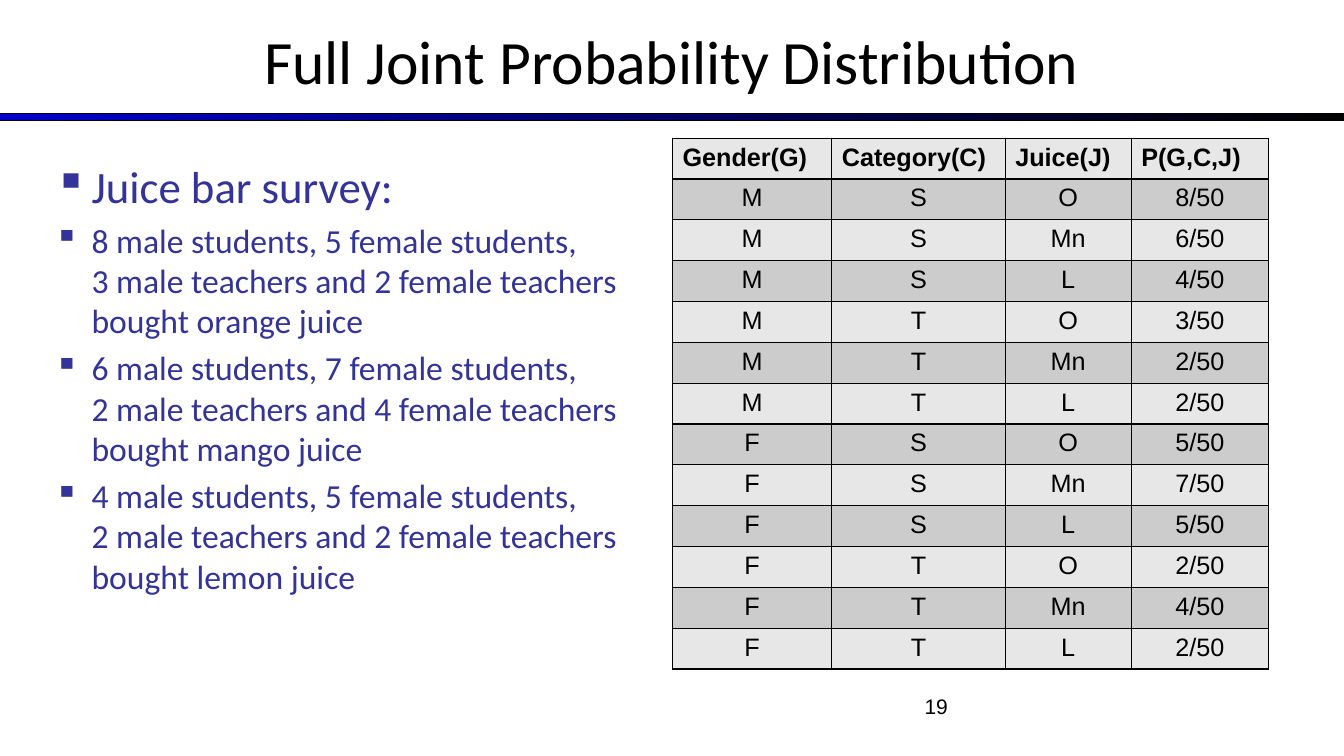
from typing import NamedTuple

from lxml import etree
from pptx import Presentation
from pptx.dml.color import RGBColor
from pptx.enum.shapes import MSO_SHAPE
from pptx.enum.text import MSO_ANCHOR, PP_ALIGN
from pptx.oxml.ns import qn
from pptx.util import Inches, Pt

RECTANGLE = MSO_SHAPE.RECTANGLE
LEFT, CENTER, RIGHT = PP_ALIGN.LEFT, PP_ALIGN.CENTER, PP_ALIGN.RIGHT
TOP, MIDDLE = MSO_ANCHOR.TOP, MSO_ANCHOR.MIDDLE

BLACK = RGBColor(0x00, 0x00, 0x00)
BLUE = RGBColor(0x00, 0x00, 0xCC)
INDIGO = RGBColor(0x33, 0x33, 0x99)
LIGHT_GREY = RGBColor(0xE7, 0xE7, 0xE7)
MID_GREY = RGBColor(0xCC, 0xCC, 0xCC)

TITLE_FORMAT = {"name": "Calibri", "size": Pt(44)}
HEADING_FORMAT = {"name": "Calibri", "size": Pt(32)}
SALES_FORMAT = {"name": "Calibri", "size": Pt(24)}
HEADER_FORMAT = {"name": "Arial", "size": Pt(18), "bold": True}
CELL_FORMAT = {"name": "Arial", "size": Pt(18), "bold": False}
NUMBER_FORMAT = {"name": "Arial", "size": Pt(15)}


class Box(NamedTuple):
    left: float
    top: float
    width: float
    height: float

    def lengths(self) -> list:
        return [Inches(value) for value in self]


class Sale(NamedTuple):
    juice: str
    code: str
    male_students: int
    female_students: int
    male_teachers: int
    female_teachers: int

    def sentence(self) -> str:
        return (f"{self.male_students} male students, {self.female_students} female students,\v"
                f"{self.male_teachers} male teachers and {self.female_teachers} female teachers "
                f"bought {self.juice} juice")


SALES = [
    Sale("orange", "O", 8, 5, 3, 2),
    Sale("mango", "Mn", 6, 7, 2, 4),
    Sale("lemon", "L", 4, 5, 2, 2),
]
GROUPS = [("M", "S", "male_students"), ("M", "T", "male_teachers"),
          ("F", "S", "female_students"), ("F", "T", "female_teachers")]
HEADERS = ("Gender(G)", "Category(C)", "Juice(J)", "P(G,C,J)")
COLUMN_WIDTHS = (1.58, 1.72, 1.25, 1.36)
TABLE_BOX = Box(6.67, 1.37, sum(COLUMN_WIDTHS), 5.27)
BULLET_INDENT = Inches(0.37)


def write(paragraph, text: str, font_format: dict, color: RGBColor, align=LEFT) -> None:
    paragraph.text = text
    paragraph.alignment = align
    for run in paragraph.runs:
        for attribute, value in font_format.items():
            setattr(run.font, attribute, value)
        run.font.color.rgb = color


def add_frame(slide, box: Box, anchor=TOP):
    frame = slide.shapes.add_textbox(*box.lengths()).text_frame
    frame.word_wrap = True
    frame.vertical_anchor = anchor
    return frame


def add_bullet(paragraph) -> None:
    properties = paragraph._p.get_or_add_pPr()
    properties.set("marL", str(BULLET_INDENT))
    properties.set("indent", str(-BULLET_INDENT))
    bullet_color = etree.SubElement(properties, qn("a:buClr"))
    etree.SubElement(bullet_color, qn("a:srgbClr"), val=str(INDIGO))
    etree.SubElement(properties, qn("a:buChar"), char="▪")


def add_borders(cell) -> None:
    properties = cell._tc.get_or_add_tcPr()
    for position, side in enumerate(("a:lnL", "a:lnR", "a:lnT", "a:lnB")):
        border = etree.Element(qn(side), w=str(Pt(1)))
        fill = etree.SubElement(border, qn("a:solidFill"))
        etree.SubElement(fill, qn("a:srgbClr"), val=str(BLACK))
        properties.insert(position, border)


def add_title(slide) -> None:
    rule = slide.shapes.add_shape(RECTANGLE, *Box(0, 1.13, 13.33, 0.07).lengths())
    rule.shadow.inherit = False
    rule.fill.gradient()
    rule.fill.gradient_angle = 0
    for stop, color in zip(rule.fill.gradient_stops, (BLUE, BLACK)):
        stop.color.rgb = color
    rule.line.color.rgb = BLACK
    rule.line.width = Pt(0.75)
    title = add_frame(slide, Box(0, -0.03, 13.33, 1.25), MIDDLE)
    write(title.paragraphs[0], "Full Joint Probability Distribution", TITLE_FORMAT, BLACK, CENTER)


def add_survey(slide) -> None:
    survey = add_frame(slide, Box(0.44, 1.53, 5.88, 5.17))
    heading = survey.paragraphs[0]
    add_bullet(heading)
    write(heading, "Juice bar survey:", HEADING_FORMAT, INDIGO)
    for sale in SALES:
        paragraph = survey.add_paragraph()
        add_bullet(paragraph)
        paragraph.space_before = Pt(4.8)
        write(paragraph, sale.sentence(), SALES_FORMAT, INDIGO)


def add_distribution(slide) -> None:
    rows = [HEADERS] + [
        (gender, category, sale.code, f"{getattr(sale, count)}/50")
        for gender, category, count in GROUPS for sale in SALES
    ]
    table = slide.shapes.add_table(len(rows), len(HEADERS), *TABLE_BOX.lengths()).table
    for column, width in zip(table.columns, COLUMN_WIDTHS):
        column.width = Inches(width)
    for row_index, values in enumerate(rows):
        table.rows[row_index].height = Inches(TABLE_BOX.height / len(rows))
        is_header = row_index == 0
        for column_index, value in enumerate(values):
            cell = table.cell(row_index, column_index)
            cell.fill.solid()
            cell.fill.fore_color.rgb = MID_GREY if row_index % 2 else LIGHT_GREY
            add_borders(cell)
            write(cell.text_frame.paragraphs[0], value,
                  HEADER_FORMAT if is_header else CELL_FORMAT, BLACK,
                  LEFT if is_header else CENTER)


def main() -> None:
    presentation = Presentation()
    presentation.slide_width = Inches(13.33)
    presentation.slide_height = Inches(7.5)
    slide = presentation.slides.add_slide(presentation.slide_layouts[6])

    # Title and rule
    add_title(slide)
    # Survey results
    add_survey(slide)
    # Page number
    page_number = add_frame(slide, Box(7.17, 6.83, 2.33, 0.52))
    write(page_number.paragraphs[0], "19", NUMBER_FORMAT, BLACK, RIGHT)
    # Joint distribution
    add_distribution(slide)

    presentation.save("out.pptx")


if __name__ == "__main__":
    main()
